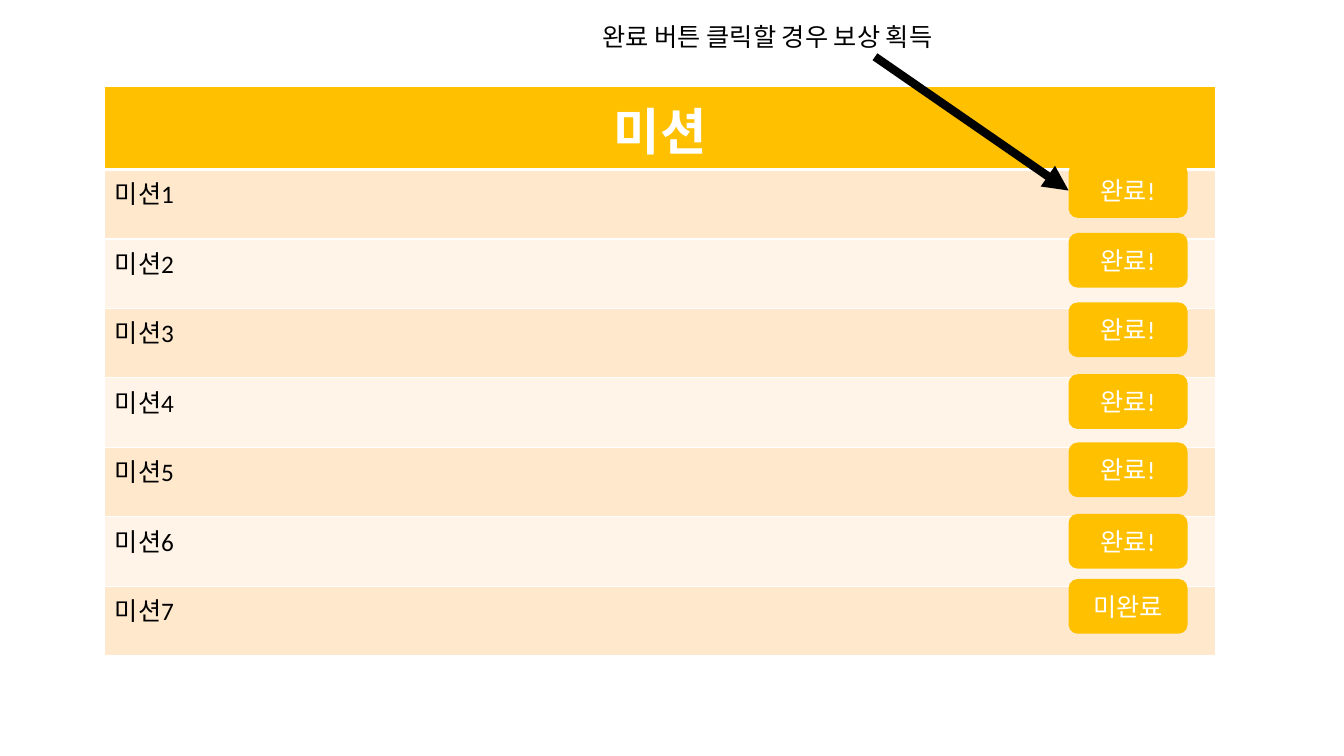
from lxml.etree import SubElement
from pptx import Presentation
from pptx.dml.color import RGBColor
from pptx.enum.shapes import MSO_CONNECTOR, MSO_SHAPE
from pptx.enum.text import MSO_ANCHOR, MSO_AUTO_SIZE, PP_ALIGN
from pptx.oxml.ns import qn
from pptx.util import Cm, Pt

GOLD = RGBColor(0xFF, 0xC0, 0x00)
WHITE = RGBColor(0xFF, 0xFF, 0xFF)
BLACK = RGBColor(0x00, 0x00, 0x00)
BANDS = [RGBColor(0xFF, 0xE8, 0xCC), RGBColor(0xFF, 0xF4, 0xE7)]
FONT = "Calibri"

HEADING = "미션"
NOTE = "완료 버튼 클릭할 경우 보상 획득"
# mission, button label, button top in cm
MISSIONS = [
    ("미션1", "완료!", 4.11),
    ("미션2", "완료!", 5.87),
    ("미션3", "완료!", 7.62),
    ("미션4", "완료!", 9.43),
    ("미션5", "완료!", 11.15),
    ("미션6", "완료!", 12.95),
    ("미션7", "미완료", 14.59),
]

TABLE_LEFT, TABLE_TOP, TABLE_W = 2.64, 2.18, 28
HEADER_H, ROW_H = 1.78, 1.75
BUTTON_LEFT, BUTTON_W, BUTTON_H = 26.93, 3, 1.38


def write(tf, text, size, color, bold=False, align=PP_ALIGN.LEFT):
    tf.text = text
    p = tf.paragraphs[0]
    p.alignment = align
    font = p.runs[0].font
    font.name, font.size, font.bold = FONT, Pt(size), bold
    font.color.rgb = color


def set_borders(cell, top=1, bottom=1):
    """Draw white cell borders; widths are in points."""
    tc_pr = cell._tc.get_or_add_tcPr()
    for side, width in (("L", 1), ("R", 1), ("T", top), ("B", bottom)):
        ln = SubElement(tc_pr, qn(f"a:ln{side}"), w=str(Pt(width)))
        fill = SubElement(ln, qn("a:solidFill"))
        SubElement(fill, qn("a:srgbClr"), val=str(WHITE))


def fill_cell(cell, color):
    cell.fill.solid()
    cell.fill.fore_color.rgb = color


def add_mission_table(slide):
    height = HEADER_H + ROW_H * len(MISSIONS)
    table = slide.shapes.add_table(
        len(MISSIONS) + 1, 1, Cm(TABLE_LEFT), Cm(TABLE_TOP), Cm(TABLE_W), Cm(height)
    ).table
    table.rows[0].height = Cm(HEADER_H)
    header = table.cell(0, 0)
    set_borders(header, bottom=3)
    fill_cell(header, GOLD)
    write(header.text_frame, HEADING, 36, WHITE, True, PP_ALIGN.CENTER)
    for i, (mission, _, _) in enumerate(MISSIONS):
        table.rows[i + 1].height = Cm(ROW_H)
        cell = table.cell(i + 1, 0)
        set_borders(cell, top=3 if i == 0 else 1)
        fill_cell(cell, BANDS[i % 2])
        write(cell.text_frame, mission, 18, BLACK)


def add_button(slide, label, top):
    sp = slide.shapes.add_shape(
        MSO_SHAPE.ROUNDED_RECTANGLE,
        Cm(BUTTON_LEFT), Cm(top), Cm(BUTTON_W), Cm(BUTTON_H),
    )
    sp.shadow.inherit = False
    sp.fill.solid()
    sp.fill.fore_color.rgb = GOLD
    sp.line.fill.background()
    sp.text_frame.vertical_anchor = MSO_ANCHOR.MIDDLE
    write(sp.text_frame, label, 18, WHITE, align=PP_ALIGN.CENTER)


def add_note(slide):
    tf = slide.shapes.add_textbox(Cm(14.94), Cm(0.41), Cm(9.58), Cm(1.02)).text_frame
    tf.word_wrap = False
    tf.auto_size = MSO_AUTO_SIZE.SHAPE_TO_FIT_TEXT
    write(tf, NOTE, 18, BLACK)


def add_arrow(slide):
    """Point from the note to the middle of the first button."""
    first_top = MISSIONS[0][2]
    arrow = slide.shapes.add_connector(
        MSO_CONNECTOR.STRAIGHT, Cm(22.05), Cm(1.43),
        Cm(BUTTON_LEFT), Cm(first_top + BUTTON_H / 2),
    )
    arrow.line.color.rgb = BLACK
    arrow.line.width = Pt(6)
    SubElement(arrow.line._get_or_add_ln(), qn("a:tailEnd"), type="triangle")
    SubElement(arrow._element.spPr, qn("a:effectLst"))


def main():
    prs = Presentation()
    prs.slide_width, prs.slide_height = Cm(33.87), Cm(19.05)
    slide = prs.slides.add_slide(prs.slide_layouts[6])
    add_mission_table(slide)
    for _, label, top in MISSIONS:
        add_button(slide, label, top)
    add_note(slide)
    add_arrow(slide)
    prs.save("out.pptx")


if __name__ == "__main__":
    main()
